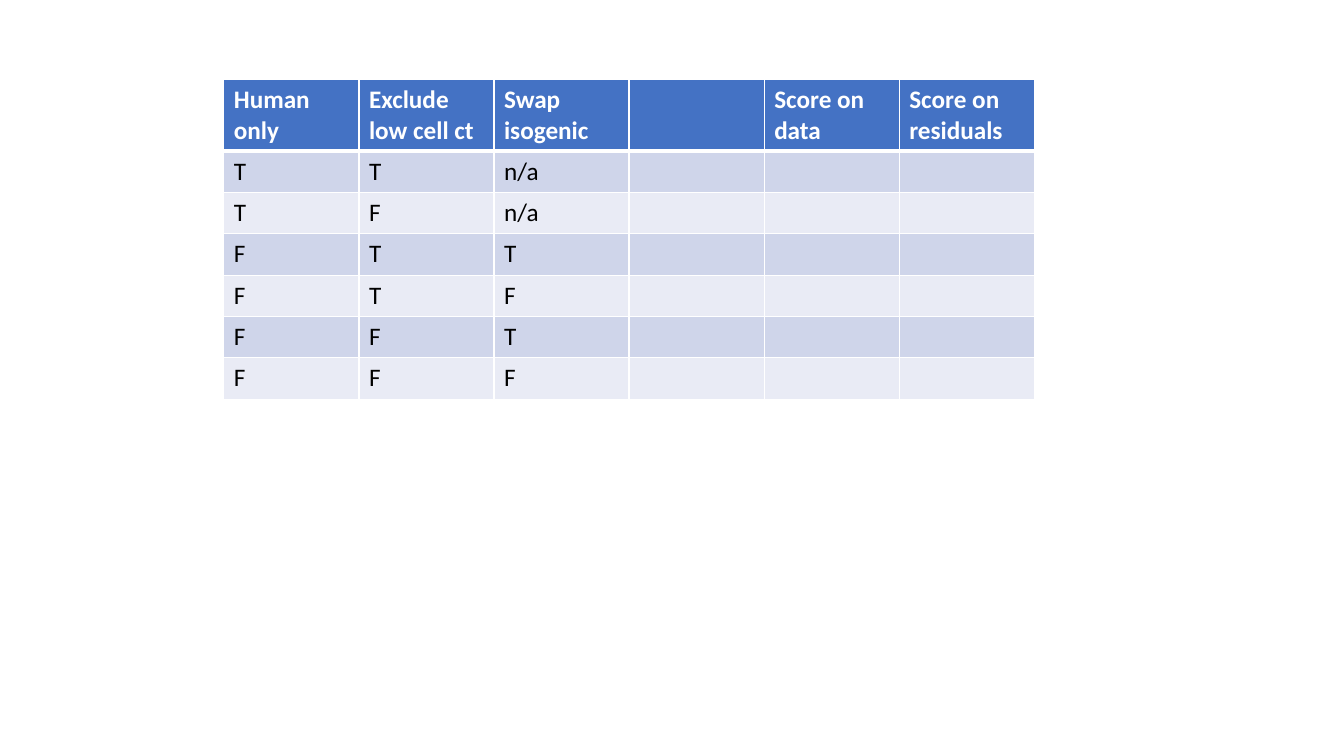
from dataclasses import dataclass

from lxml.etree import SubElement
from pptx import Presentation
from pptx.dml.color import RGBColor
from pptx.oxml.ns import qn
from pptx.table import _Cell
from pptx.util import Inches, Pt

COLORS = {
    "header": "4472C4",
    "odd": "CFD5EA",
    "even": "E9EBF5",
    "white": "FFFFFF",
    "black": "000000",
}
HEADINGS = ["Human only", "Exclude low cell ct", "Swap isogenic", "",
            "Score on data", "Score on residuals"]
SETTINGS = ["T T n/a", "T F n/a", "F T T", "F T F", "F F T", "F F F"]
COLUMN_WIDTH = Inches(1.34)
HEADER_HEIGHT = Inches(0.7)
ROW_HEIGHT = Inches(0.41)


@dataclass(frozen=True)
class RowStyle:
    """Look of one table row; border widths are in points."""
    fill: str
    ink: str
    bold: bool = False
    top: int = 1
    bottom: int = 1


def style_for(row: int) -> RowStyle:
    """Return the header style or the banded style of a body row."""
    if row == 0:
        return RowStyle("header", "white", bold=True, bottom=3)
    return RowStyle("odd" if row % 2 else "even", "black",
                    top=3 if row == 1 else 1)


def draw_borders(cell: _Cell, style: RowStyle) -> None:
    """Add white lines on all four sides of a cell."""
    properties = cell._tc.get_or_add_tcPr()
    sides = {"lnL": 1, "lnR": 1, "lnT": style.top, "lnB": style.bottom}
    for side, width in sides.items():
        line = SubElement(properties, qn(f"a:{side}"), w=str(Pt(width)))
        fill = SubElement(line, qn("a:solidFill"))
        SubElement(fill, qn("a:srgbClr"), val=COLORS["white"])


def fill_cell(cell: _Cell, text: str, style: RowStyle) -> None:
    """Write and format one cell."""
    draw_borders(cell, style)
    cell.fill.solid()
    cell.fill.fore_color.rgb = RGBColor.from_string(COLORS[style.fill])
    para = cell.text_frame.paragraphs[0]
    para.font.size = Pt(18)
    if text:
        span = para.add_run()
        span.text = text
        span.font.name = "Calibri"
        span.font.size = Pt(18)
        span.font.bold = style.bold
        span.font.color.rgb = RGBColor.from_string(COLORS[style.ink])


deck = Presentation()
deck.slide_width = Inches(13.33)
deck.slide_height = Inches(7.5)
page = deck.slides.add_slide(deck.slide_layouts[6])

body = [setting.split() for setting in SETTINGS]
rows = [HEADINGS] + [values + [""] * (len(HEADINGS) - len(values))
                     for values in body]
table = page.shapes.add_table(
    len(rows), len(HEADINGS), Inches(2.22), Inches(0.79),
    COLUMN_WIDTH * len(HEADINGS), HEADER_HEIGHT + ROW_HEIGHT * len(body)).table
for column in table.columns:
    column.width = COLUMN_WIDTH
for index, values in enumerate(rows):
    table.rows[index].height = ROW_HEIGHT if index else HEADER_HEIGHT
    for position, value in enumerate(values):
        fill_cell(table.cell(index, position), value, style_for(index))

deck.save("out.pptx")
